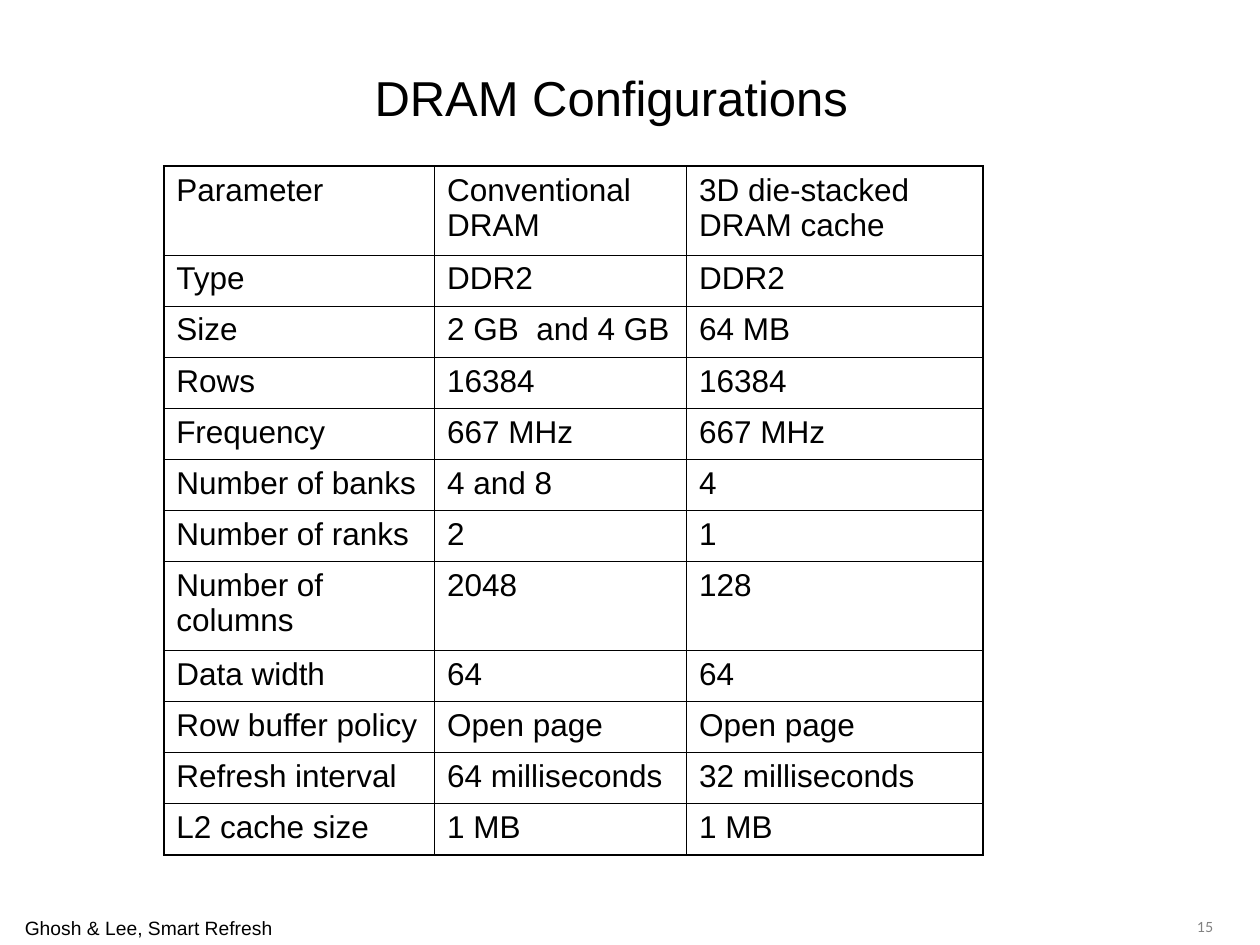
from dataclasses import dataclass

from lxml.etree import SubElement
from pptx import Presentation
from pptx.dml.color import RGBColor
from pptx.enum.text import MSO_ANCHOR, PP_ALIGN
from pptx.oxml.ns import qn
from pptx.util import Cm, Pt


@dataclass
class Theme:
    ink: str = "000000"
    gray: str = "808080"
    face: str = "Arial"
    page_face: str = "Lato"
    title: int = 28
    body: int = 18
    foot: int = 11
    page: int = 8
    thin: float = 0.45
    thick: float = 1.08


theme = Theme()


def write(frame, text, size, face=theme.face, color=theme.ink, align=PP_ALIGN.LEFT):
    frame.text = text
    para = frame.paragraphs[0]
    para.alignment = align
    font = para.runs[0].font
    font.size, font.name = Pt(size), face
    font.color.rgb = RGBColor.from_string(color)


def rule(cell, side, width):
    """Draw one border of a cell; side is L, R, T or B."""
    line = SubElement(cell._tc.get_or_add_tcPr(), qn(f"a:ln{side}"), w=str(Pt(width)))
    fill = SubElement(line, qn("a:solidFill"))
    SubElement(fill, qn("a:srgbClr"), val=theme.ink)


deck = Presentation()
deck.slide_width, deck.slide_height = Cm(25.4), Cm(19.05)
slide = deck.slides.add_slide(deck.slide_layouts[6])
shapes = slide.shapes

# Footer and title
foot = shapes.add_textbox(Cm(0.25), Cm(18.34), Cm(5.51), Cm(0.74)).text_frame
foot.word_wrap = False
write(foot, "Ghosh & Lee, Smart Refresh", theme.foot)

title = shapes.add_textbox(Cm(0.89), Cm(0.89), Cm(22.86), Cm(2.11)).text_frame
title.word_wrap = True
title.vertical_anchor = MSO_ANCHOR.MIDDLE
write(title, "DRAM Configurations", theme.title, align=PP_ALIGN.CENTER)

# Table of configurations
rows = [
    ("Parameter", "Conventional DRAM", "3D die-stacked DRAM cache"),
    ("Type", "DDR2", "DDR2"),
    ("Size", "2 GB  and 4 GB", "64 MB"),
    ("Rows", "16384", "16384"),
    ("Frequency", "667 MHz", "667 MHz"),
    ("Number of banks", "4 and 8", "4"),
    ("Number of ranks", "2", "1"),
    ("Number of columns", "2048", "128"),
    ("Data width", "64", "64"),
    ("Row buffer policy", "Open page", "Open page"),
    ("Refresh interval", "64 milliseconds", "32 milliseconds"),
    ("L2 cache size", "1 MB", "1 MB"),
]
widths = [5.46, 5.08, 5.97]
tall_rows = ("Parameter", "Number of columns")
heights = [1.79 if row[0] in tall_rows else 1.03 for row in rows]

table = shapes.add_table(
    len(rows), len(widths), Cm(3.3), Cm(3.35), Cm(sum(widths)), Cm(sum(heights))
).table
table.first_row = table.horz_banding = False
for col, width in zip(table.columns, widths):
    col.width = Cm(width)
for r, row in enumerate(rows):
    table.rows[r].height = Cm(heights[r])
    for c, text in enumerate(row):
        cell = table.cell(r, c)
        write(cell.text_frame, text, theme.body)
        outer = {
            "L": c == 0,
            "R": c == len(widths) - 1,
            "T": r == 0,
            "B": r == len(rows) - 1,
        }
        for side, edge in outer.items():
            rule(cell, side, theme.thick if edge else theme.thin)
        cell.fill.background()

# Page number
page = shapes.add_textbox(Cm(21.84), Cm(18.39), Cm(2.87), Cm(1.07)).text_frame
page.word_wrap = True
write(page, "15", theme.page, theme.page_face, theme.gray, PP_ALIGN.RIGHT)

deck.save("out.pptx")
